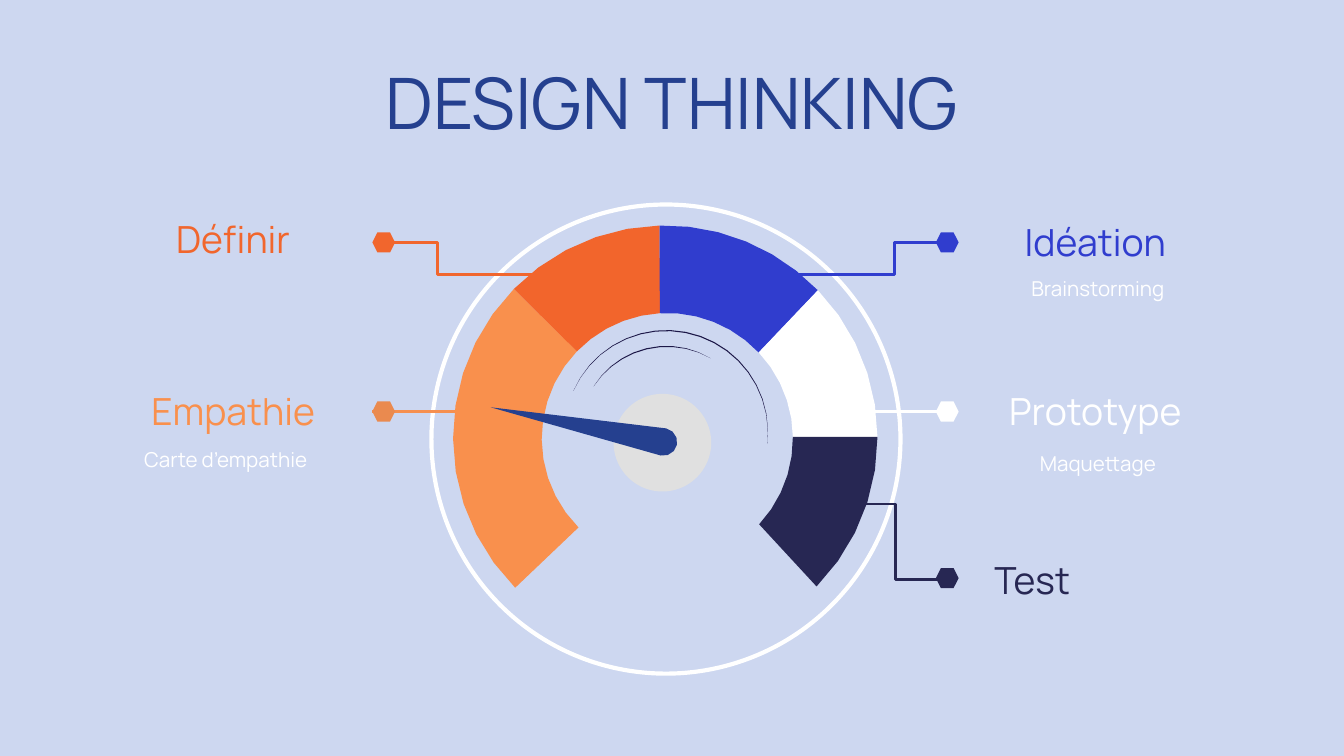
import math
import pptx
import pptx.dml.color
import pptx.enum.shapes
import pptx.enum.text
import pptx.oxml.ns
import pptx.util
from lxml import etree

Pt = pptx.util.Pt
RGB = pptx.dml.color.RGBColor.from_string
ALIGN = pptx.enum.text.PP_ALIGN
ANCHOR = pptx.enum.text.MSO_ANCHOR
SHAPE = pptx.enum.shapes.MSO_SHAPE
CONNECTOR = pptx.enum.shapes.MSO_CONNECTOR
qn = pptx.oxml.ns.qn

colors = {
    "background": "CDD7F0", "navy": "25408F", "empathy": "F9904D",
    "empathy_line": "F68F4F", "empathy_dot": "EA8A4F", "define": "F1662D",
    "define_arc": "F2652C", "ideation": "303DCE", "white": "FFFFFF",
    "test": "272753", "hub": "E0E0E0", "dial": "1D1848",
}

presentation = pptx.Presentation()
presentation.slide_width, presentation.slide_height = Pt(720), Pt(405)
slide = presentation.slides.add_slide(presentation.slide_layouts[6])
slide.background.fill.solid()
slide.background.fill.fore_color.rgb = RGB(colors["background"])
shapes = slide.shapes


def arc(x, y, radius, start, end, taper=0, stride=9):
    steps = math.ceil(abs(end - start) / stride)
    points = []
    for step in range(steps + 1):
        angle = math.radians(start + (end - start) * step / steps)
        r = radius - taper * math.sin(math.pi * step / steps)
        points.append((Pt(x + r * math.cos(angle)), Pt(y + r * math.sin(angle))))
    return points


def paint(shape, color):
    shape.shadow.inherit = False
    shape.fill.solid()
    shape.fill.fore_color.rgb = RGB(colors[color])
    shape.line.fill.background()


rim = shapes.add_shape(SHAPE.OVAL, Pt(231.1), Pt(109.6), Pt(251.3), Pt(251.3))
rim.shadow.inherit = False
rim.fill.background()
rim.line.color.rgb = RGB(colors["white"])
rim.line.width = Pt(2.25)

labels = [
    ("DESIGN THINKING", 77.8, 24.2, 564.4, 54, 38, "navy", ALIGN.CENTER),
    ("Empathie", 63, 208.4, 123.8, 23, 20, "empathy", ALIGN.CENTER),
    ("Définir", 63.7, 116.2, 122.4, 23, 20, "define", ALIGN.CENTER),
    ("Test", 525.6, 299.1, 122.4, 23, 20, "test", ALIGN.LEFT),
    ("Prototype", 525.6, 208.4, 122.4, 23, 20, "white", ALIGN.CENTER),
    ("Idéation", 525.6, 118.1, 122.4, 23, 20, "ideation", ALIGN.CENTER),
    ("Brainstorming", 527, 134.6, 122.4, 39.6, 11, "white", ALIGN.CENTER),
    ("Carte d’empathie", 70.2, 226.1, 122.4, 39.6, 11, "white", ALIGN.LEFT),
    ("Maquettage", 527, 228.2, 122.4, 39.6, 11, "white", ALIGN.CENTER),
]
for wording, left, top, width, height, size, color, alignment in labels:
    frame = shapes.add_textbox(Pt(left), Pt(top), Pt(width), Pt(height)).text_frame
    frame.word_wrap = True
    frame.margin_left = frame.margin_right = Pt(7.2)
    frame.margin_top = frame.margin_bottom = Pt(7.2)
    frame.vertical_anchor = ANCHOR.TOP if size == 38 else ANCHOR.MIDDLE
    paragraph = frame.paragraphs[0]
    paragraph.text = wording
    paragraph.alignment = alignment
    paragraph.font.name = "Manrope"
    paragraph.font.size = Pt(size)
    paragraph.font.color.rgb = RGB(colors[color])

leaders = [
    (199.4, 220.4, 257.8, 220.4, None, "empathy_line"),
    (513.4, 220.4, 442.8, 220.4, None, "white"),
    (442.8, 270, 508.3, 310.3, 56600, "test"),
    (502.6, 129.8, 411.1, 146.9, 25400, "ideation"),
    (211, 129.8, 302.4, 146.9, 25400, "define"),
]
for x1, y1, x2, y2, bend, color in leaders:
    kind = CONNECTOR.ELBOW if bend else CONNECTOR.STRAIGHT
    leader = shapes.add_connector(kind, Pt(x1), Pt(y1), Pt(x2), Pt(y2))
    leader.line.color.rgb = RGB(colors[color])
    leader.line.width = Pt(1.5)
    properties = leader._element.spPr
    etree.SubElement(properties, qn("a:effectLst"))
    if bend:
        adjustments = properties.find(qn("a:prstGeom")).get_or_add_avLst()
        etree.SubElement(adjustments, qn("a:gd"), name="adj1", fmla=f"val {bend}")

left_dots, right_dots = 205.6, 507.5
for x, y, color in [
    (left_dots, 129.9, "define"), (left_dots, 220.5, "empathy_dot"),
    (right_dots, 129.9, "ideation"), (right_dots, 220.5, "white"),
    (right_dots, 309.7, "test"),
]:
    dot = shapes.add_shape(SHAPE.HEXAGON, Pt(x - 6.1), Pt(y - 5.4), Pt(12.2), Pt(10.8))
    paint(dot, color)

gauge_edges = [(135, 135), (224.5, 224), (268.5, 266.6), (316, 316.7), (359.8, 359.2), (404.5, 403)]
gauge_colors = ["empathy", "define_arc", "ideation", "white", "test"]
outlines = []
for start, end, color in zip(gauge_edges, gauge_edges[1:], gauge_colors):
    outer = arc(356.4, 234.5, 113.7, start[0], end[0])
    inner = arc(357.5, 235, 67.3, end[1], start[1])
    outlines.append((outer + inner, color))
for radius, start, end in [(54.4, 203.6, 367), (45.9, 211.9, 301.1)]:
    outer = arc(357, 231.2, radius, start, end)
    inner = arc(357, 231.2, radius, end, start, taper=0.6)
    outlines.append((outer + inner[1:-1], "dial"))

hub = shapes.add_shape(SHAPE.OVAL, Pt(328.7), Pt(211), Pt(52.3), Pt(52.3))
paint(hub, "hub")
needle = [(Pt(262.8), Pt(218.2))] + arc(355.4, 236.8, 7.4, -79, 101, stride=30)
outlines.append((needle, "navy"))

for points, color in outlines:
    builder = shapes.build_freeform(*points[0])
    builder.add_line_segments(points[1:], close=True)
    paint(builder.convert_to_shape(), color)

presentation.save("out.pptx")
